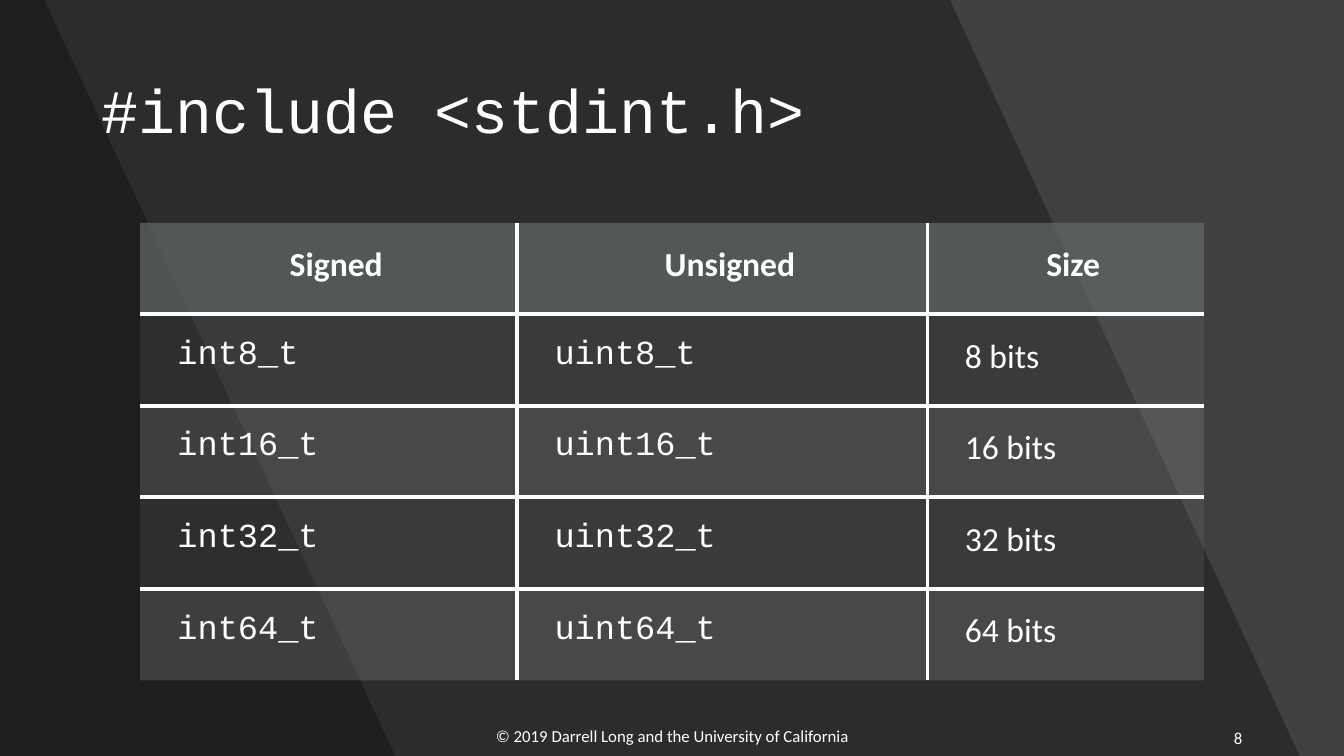
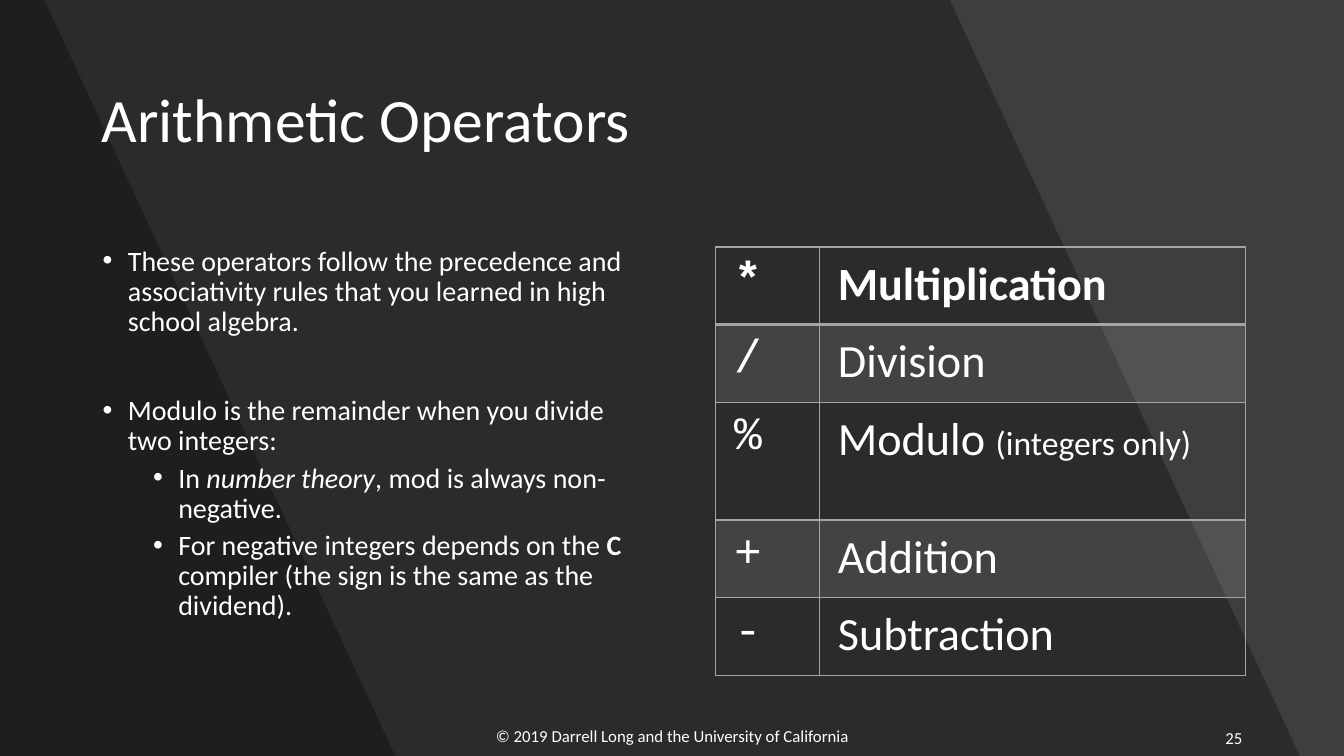
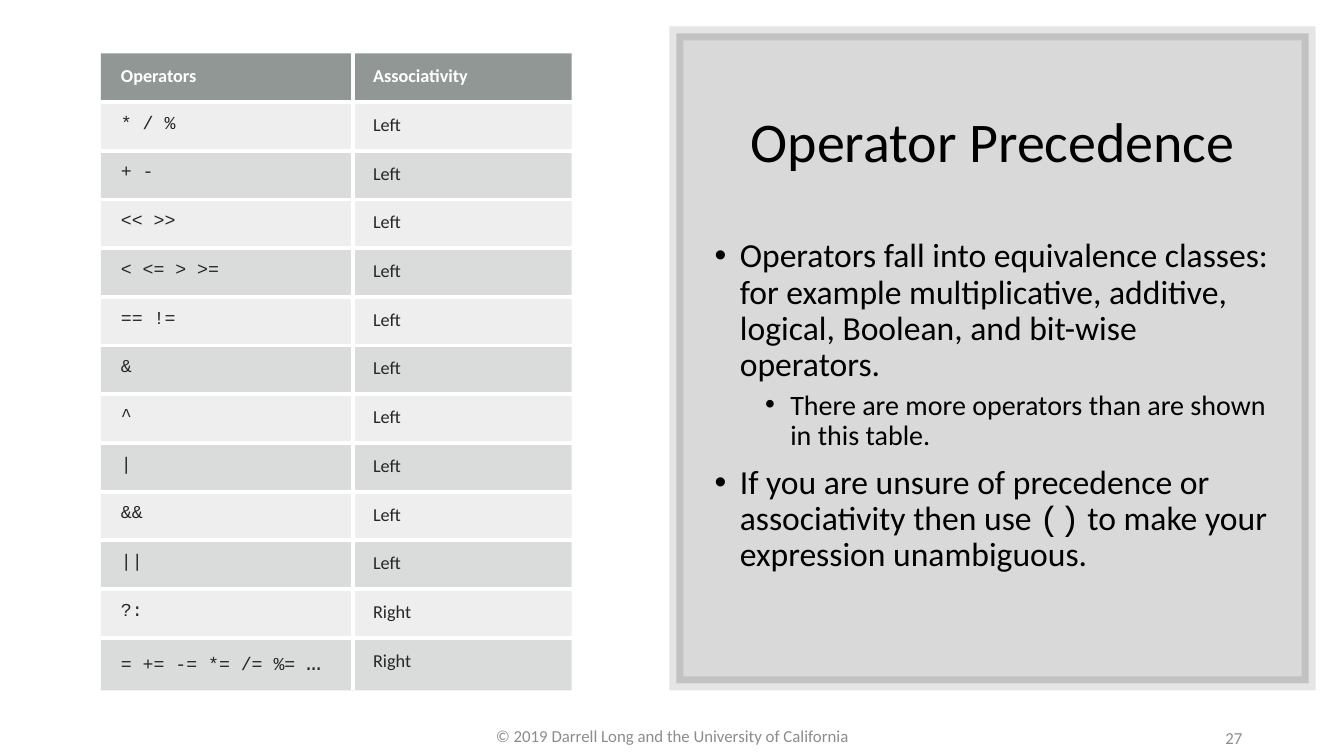
from lxml import etree
from pptx import Presentation
from pptx.dml.color import RGBColor
from pptx.enum.shapes import MSO_SHAPE
from pptx.enum.text import MSO_ANCHOR, MSO_AUTO_SIZE, PP_ALIGN
from pptx.oxml.ns import qn
from pptx.util import Pt

LEFT, MID, RIGHT = PP_ALIGN.LEFT, PP_ALIGN.CENTER, PP_ALIGN.RIGHT
TOP, CENTER = MSO_ANCHOR.TOP, MSO_ANCHOR.MIDDLE
RECT = MSO_SHAPE.RECTANGLE
FIXED = MSO_AUTO_SIZE.NONE
WIDE, HIGH = 1333, 750
WHITE, BLACK, GREY = "FFFFFF", "000000", "8C8C8C"
SANS, MONO = "Calibri", "Courier New"
CREDIT = "© 2019 Darrell Long and the University of California"
BANDS = [(942, 1289), (44, 392)]
STRIPES = [("878E8B", 15), ("878E8B", 30)]

TYPES = {
    "box": (139, 221), "cols": [374, 407, 274], "high": 454,
    "pads": (37, 22, 22, 22), "size": 24, "ink": WHITE,
    "align": MID, "heads": [SANS] * 3, "fonts": [MONO, MONO, SANS],
    "top": ("636B68", 70), "fills": STRIPES,
    "rule": (WHITE, 3, 3), "outer": False,
    "rows": [["Signed", "Unsigned", "Size"]] + [
        [f"int{n}_t", f"uint{n}_t", f"{n} bits"] for n in (8, 16, 32, 64)],
}
MATHS = {
    "box": (710, 245), "cols": [103, 422], "rises": [77, 77, 117, 77, 77],
    "pads": (18, 9, 18, 9), "size": 33, "ink": WHITE,
    "align": LEFT, "heads": [MONO, SANS], "fonts": [MONO, SANS],
    "top": None, "fills": [("A5A5A5", 20), None],
    "rule": ("A5A5A5", 1, 2), "outer": True,
    "rows": [["*", "Multiplication"], ["/", "Division"],
             ["%", ["Modulo ", ("(integers only)", {"size": 24})]],
             ["+", "Addition"], ["-", "Subtraction"]],
}
LEFTS = ["* / %", "+ -", "<< >>", "< <= > >=", "== !=",
         "&", "^", "|", "&&", "||"]
RIGHTS = ["?:", ["= += -= *= /= %= ", ("…", {"size": 18})]]
RANKS = {
    "box": (100, 53), "cols": [250, 217], "high": 628,
    "pads": (20, 12, 12, 12), "size": 13, "ink": "262626",
    "align": LEFT, "heads": [SANS] * 2, "fonts": [MONO, SANS],
    "top": ("636B68", 70), "fills": STRIPES,
    "rule": (WHITE, 3, 3), "outer": False,
    "rows": [["Operators", "Associativity"]]
    + [[op, "Left"] for op in LEFTS] + [[op, "Right"] for op in RIGHTS],
}
RULES = [
    (0, 20, 0, "These operators follow the precedence and associativity "
     "rules that you learned in high school algebra."),
    (0, 20, 42, "Modulo is the remainder when you divide two integers:"),
    (1, 20, 5, ["In ", ("number theory", {"italic": True}),
                ", mod is always non-negative."]),
    (1, 20, 5, ["For negative integers depends on the ",
                ("C", {"bold": True}),
                " compiler (the sign is the same as the dividend)."]),
]
NOTES = [
    (0, 24, 0, "Operators fall into equivalence classes: for example "
     "multiplicative, additive, logical, Boolean, and bit-wise operators."),
    (1, 20, 5, "There are more operators than are shown in this table."),
    (0, 24, 10, ["If you are unsure of precedence or associativity then use ",
                 ("()", {"name": MONO}),
                 " to make your expression unambiguous."]),
]
SLIDES = [
    {"back": "404040", "dark": True, "veil": False, "foot": WHITE, "num": "8",
     "title": ("#include <stdint.h>", (91, 40, 1151, 145), LEFT,
               {"name": MONO, "size": 44, "color": WHITE}),
     "list": None, "table": TYPES},
    {"back": "454545", "dark": True, "veil": True, "foot": WHITE, "num": "25",
     "title": ("Arithmetic Operators", (91, 49, 1151, 145), LEFT,
               {"name": SANS, "size": 44, "color": WHITE}),
     "list": (RULES, (92, 240, 540, 436), WHITE), "table": MATHS},
    {"back": WHITE, "dark": False, "veil": False, "foot": GREY, "num": "27",
     "title": ("Operator Precedence", (699, 70, 571, 147), MID,
               {"name": SANS, "size": 40, "color": BLACK}),
     "list": (NOTES, (699, 232, 573, 413), BLACK), "table": RANKS},
]


def px(n):
    return round(n * 9144)


def rgb(tone):
    return RGBColor.from_string(tone)


def node(up, tag, **atts):
    return etree.SubElement(up, qn(tag), {k: str(v) for k, v in atts.items()})


def paint(fill, root, tone, alpha=100):
    fill.solid()
    fill.fore_color.rgb = rgb(tone)
    if alpha < 100:
        for clr in root.iter(qn("a:srgbClr")):
            node(clr, "a:alpha", val=alpha * 1000)


def write(par, text, look):
    for part in [text] if isinstance(text, str) else text:
        words, extra = (part, {}) if isinstance(part, str) else part
        run = par.add_run()
        run.text = words
        for key, val in {**look, **extra}.items():
            if key == "color":
                run.font.color.rgb = rgb(val)
            else:
                setattr(run.font, key, Pt(val) if key == "size" else val)


def setup(frame, anchor):
    for key, val in {"word_wrap": True, "auto_size": FIXED,
                     "vertical_anchor": anchor}.items():
        setattr(frame, key, val)


def label(slide, box, text, align, tone):
    frame = slide.shapes.add_textbox(*map(px, box)).text_frame
    setup(frame, CENTER)
    par = frame.paragraphs[0]
    par.alignment = align
    write(par, text, {"name": SANS, "size": 12, "color": tone})


def flat(shape, tone, alpha):
    shape.shadow.inherit = False
    paint(shape.fill, shape.fill._xPr, tone, alpha)
    shape.line.fill.background()


def bands(slide, veil):
    if veil:
        flat(slide.shapes.add_shape(RECT, 0, 0, px(WIDE), px(HIGH)), BLACK, 9)
    for top, low in BANDS:
        path = slide.shapes.build_freeform(0, 0, scale=px(1))
        path.add_line_segments([(top, 0), (low, HIGH), (0, HIGH)], close=True)
        flat(path.convert_to_shape(), BLACK, 30)


def panel(slide):
    shape = slide.shapes.add_shape(RECT, *map(px, (671, 33, 627, 645)))
    flat(shape, BLACK, 15)
    line = shape.line
    line.width = Pt(10)
    ln = shape._element.spPr.find(qn("a:ln"))
    paint(line.fill, ln, BLACK, 10)
    node(ln, "a:miter", lim=800000)


def title(slide, text, box, align, look):
    shape = slide.shapes.title
    slide.shapes._spTree.append(shape._element)
    for key, val in zip(("left", "top", "width", "height"), box):
        setattr(shape, key, px(val))
    setup(shape.text_frame, CENTER)
    par = shape.text_frame.paragraphs[0]
    par.alignment, par.line_spacing = align, 0.9
    write(par, text, look)


def bullets(slide, items, box, tone):
    frame = slide.shapes.add_textbox(*map(px, box)).text_frame
    setup(frame, TOP)
    for i, (level, size, gap, text) in enumerate(items):
        par = frame.add_paragraph() if i else frame.paragraphs[0]
        par.level = level
        par.line_spacing, par.space_before = 0.9, Pt(gap)
        props = par._p.get_or_add_pPr()
        props.set("marL", str(px(25 + 50 * level)))
        props.set("indent", str(px(-25)))
        node(props, "a:buFont", typeface="Arial")
        node(props, "a:buChar", char="•")
        write(par, text, {"name": SANS, "size": size, "color": tone})


def border(props, spot, side, tone, width):
    ln = etree.Element(qn("a:ln" + side), {"w": str(Pt(width))})
    if width:
        node(node(ln, "a:solidFill"), "a:srgbClr", val=tone)
    else:
        node(ln, "a:noFill")
    props.insert(spot, ln)


def grid(slide, data):
    rows, cols = data["rows"], data["cols"]
    count, span = len(rows), len(cols)
    rises = data.get("rises") or [data["high"] / count] * count
    size = map(px, data["box"] + (sum(cols), sum(rises)))
    table = slide.shapes.add_table(count, span, *size).table
    table.first_row = table.horz_banding = False
    for col, wide in zip(table.columns, cols):
        col.width = px(wide)
    tone, thin, thick = data["rule"]
    edge = thin if data["outer"] else 0
    for r, row in enumerate(rows):
        table.rows[r].height = px(rises[r])
        for c, text in enumerate(row):
            cell = table.cell(r, c)
            for side, pad in zip(("left", "top", "right", "bottom"),
                                 data["pads"]):
                setattr(cell, "margin_" + side, px(pad))
            fill = data["fills"][(r - 1) % 2] if r else data["top"]
            props = cell._tc.get_or_add_tcPr()
            if fill:
                paint(cell.fill, props, *fill)
            else:
                cell.fill.background()
            lines = {"L": thin if c else edge,
                     "R": thin if c < span - 1 else edge,
                     "T": (thick if r == 1 else thin) if r else edge,
                     "B": (thin if r else thick) if r < count - 1 else edge}
            for spot, (side, width) in enumerate(lines.items()):
                border(props, spot, side, tone, width)
            par = cell.text_frame.paragraphs[0]
            par.alignment = LEFT if r else data["align"]
            write(par, text, {
                "name": data["fonts" if r else "heads"][c],
                "size": data["size"], "bold": r == 0,
                "color": data["ink"] if r else WHITE})


def main():
    deck = Presentation()
    deck.slide_width, deck.slide_height = px(WIDE), px(HIGH)
    for page in SLIDES:
        slide = deck.slides.add_slide(deck.slide_layouts[5])
        paint(slide.background.fill, None, page["back"])
        if page["dark"]:
            bands(slide, page["veil"])
        else:
            panel(slide)
        title(slide, *page["title"])
        if page["list"]:
            bullets(slide, *page["list"])
        grid(slide, page["table"])
        label(slide, (442, 710, 450, 40), CREDIT, MID, page["foot"])
        label(slide, (942, 712, 300, 40), page["num"], RIGHT, page["foot"])
    deck.save("out.pptx")


if __name__ == "__main__":
    main()
